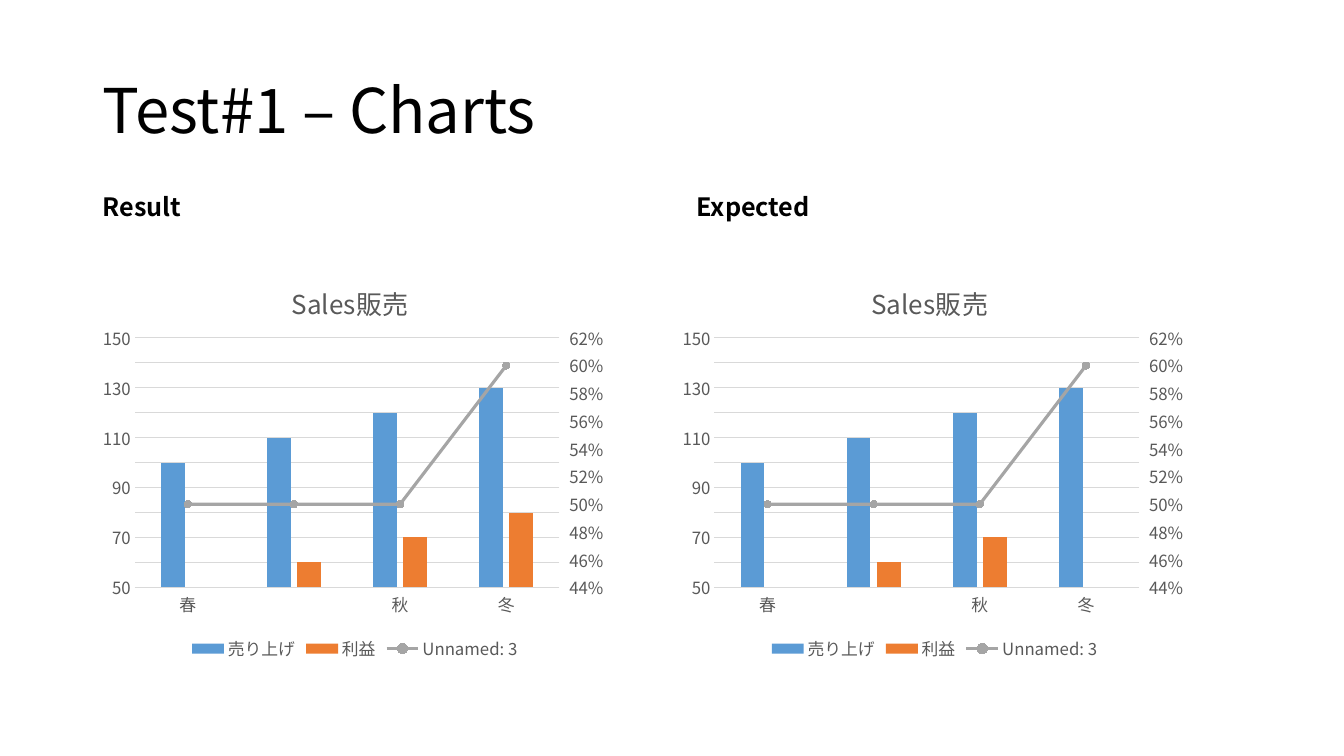
from copy import deepcopy

from lxml import etree
from pptx import Presentation
from pptx import util as u
from pptx.chart.data import CategoryChartData
from pptx.dml.color import RGBColor
from pptx.enum import chart as ch, text
from pptx.oxml import parse_xml
from pptx.oxml.ns import nsdecls, qn

FONT = "Noto Sans CJK JP"
BLACK, GREY, RULE = "000000", "595959", "D9D9D9"
TITLE = "Test#1 – Charts"
CHART_TITLE = "Sales販売"
SEASONS = ["春", "", "秋", "冬"]
SALES = ("売り上げ", [100, 110, 120, 130], "5B9BD5")
RATIO = ("Unnamed: 3", [0.5, 0.5, 0.5, 0.6], "A5A5A5")
PROFIT_NAME, PROFIT_COLOR = "利益", "ED7D31"
# heading, heading left, heading width, chart left, profit values
PANELS = [
    ("Result", 0.92, 0.99, 0.92, [50, 60, 70, 80]),
    ("Expected", 6.81, 1.34, 6.67, [50, 60, 70, None]),
]

LINE_PLOT = f"""<c:lineChart {nsdecls('c')}>
  <c:grouping val="standard"/><c:varyColors val="0"/>
  <c:marker val="1"/><c:axId val="5001"/><c:axId val="5002"/>
</c:lineChart>"""
RIGHT_AXIS = f"""<c:valAx {nsdecls('c')}>
  <c:axId val="5002"/><c:scaling><c:orientation val="minMax"/></c:scaling>
  <c:delete val="0"/><c:axPos val="r"/>
  <c:numFmt formatCode="0%" sourceLinked="0"/>
  <c:majorTickMark val="out"/><c:minorTickMark val="none"/>
  <c:tickLblPos val="nextTo"/>
  <c:crossAx val="5001"/><c:crosses val="max"/>
</c:valAx>"""
HIDDEN_AXIS = f"""<c:catAx {nsdecls('c')}>
  <c:axId val="5001"/><c:scaling><c:orientation val="minMax"/></c:scaling>
  <c:delete val="1"/><c:axPos val="b"/>
  <c:crossAx val="5002"/><c:crosses val="autoZero"/>
</c:catAx>"""


def rgb(color):
    return RGBColor.from_string(color)


def set_font(font, size, color, bold=False):
    font.name, font.size, font.bold = FONT, u.Pt(size), bold
    font.color.rgb = rgb(color)


def set_layout(parent, index, **values):
    """Place a chart part by fractions of the chart area."""
    layout = parent.find(qn("c:layout"))
    if layout is None:
        layout = etree.Element(qn("c:layout"))
        parent.insert(index, layout)
    manual = etree.SubElement(layout, qn("c:manualLayout"))
    for name, value in values.items():
        etree.SubElement(manual, qn("c:" + name)).set("val", str(value))


def move_to_right_axis(chart):
    """Turn the last column series into a line on a second value axis."""
    bars = chart.plots[0]
    ser = bars.series[-1]._element
    bar_plot = ser.getparent()
    invert = ser.find(qn("c:invertIfNegative"))
    if invert is not None:
        ser.remove(invert)
    line_plot = parse_xml(LINE_PLOT)
    line_plot.insert(2, ser)
    bar_plot.addnext(line_plot)

    left = chart.value_axis._element
    right = parse_xml(RIGHT_AXIS)
    cross = right.find(qn("c:crossAx"))
    for tag in ("c:spPr", "c:txPr"):
        cross.addprevious(deepcopy(left.find(qn(tag))))
    left.addnext(right)
    right.addnext(parse_xml(HIDDEN_AXIS))


def add_sales_chart(slide, left, profit):
    data = CategoryChartData()
    data.categories = SEASONS
    data.add_series(*SALES[:2])
    data.add_series(PROFIT_NAME, profit)
    data.add_series(*RATIO[:2], number_format="0%")
    chart = slide.shapes.add_chart(
        ch.XL_CHART_TYPE.COLUMN_CLUSTERED, u.Inches(left), u.Inches(2.54),
        u.Inches(5.2), u.Inches(4.06), data).chart
    set_font(chart.font, 10, BLACK)

    chart.has_title = True
    tf = chart.chart_title.text_frame
    tf.text = CHART_TITLE
    set_font(tf.paragraphs[0].runs[0].font, 18.6, GREY)
    chart.has_legend = True
    chart.legend.position = ch.XL_LEGEND_POSITION.BOTTOM
    chart.legend.include_in_layout = False
    set_font(chart.legend.font, 12, GREY)

    cat, val = chart.category_axis, chart.value_axis
    for axis in (cat, val):
        axis.major_tick_mark = axis.minor_tick_mark = ch.XL_TICK_MARK.NONE
        set_font(axis.tick_labels.font, 12, GREY)
    val.minimum_scale, val.maximum_scale, val.major_unit = 50, 150, 10
    val.has_major_gridlines = True
    val.format.line.fill.background()
    for line in (cat.format.line, val.major_gridlines.format.line):
        line.color.rgb, line.width = rgb(RULE), u.Pt(0.75)

    move_to_right_axis(chart)
    bars, lines = chart.plots
    bars.gap_width, bars.overlap, bars.vary_by_categories = 219, -27, False
    for series, color in zip(bars.series, (SALES[2], PROFIT_COLOR)):
        series.format.fill.solid()
        series.format.fill.fore_color.rgb = rgb(color)
    ratio = lines.series[0]
    ratio.smooth = False
    ratio.format.line.color.rgb = rgb(RATIO[2])
    ratio.format.line.width = u.Pt(2.25)
    ratio.marker.style, ratio.marker.size = ch.XL_MARKER_STYLE.CIRCLE, 5
    marker = ratio.marker.format
    marker.fill.solid()
    marker.fill.fore_color.rgb = marker.line.color.rgb = rgb(RATIO[2])

    set_layout(chart.chart_title._element, 1,
               xMode="edge", yMode="edge", x=0.37, y=0.05)
    set_layout(bars._element.getparent(), 0, layoutTarget="inner",
               xMode="edge", yMode="edge", x=0.08, y=0.2, w=0.81, h=0.61)
    for latin in list(chart._chartSpace.iter(qn("a:latin"))):
        east_asian = etree.Element(qn("a:ea"))
        east_asian.set("typeface", FONT)
        latin.addnext(east_asian)


def add_heading(slide, label, left, width):
    tf = slide.shapes.add_textbox(u.Inches(left), u.Inches(1.85),
                                  u.Inches(width), u.Inches(0.4)).text_frame
    tf.word_wrap = False
    tf.auto_size = text.MSO_AUTO_SIZE.SHAPE_TO_FIT_TEXT
    tf.text = label
    set_font(tf.paragraphs[0].runs[0].font, 18, BLACK, bold=True)


def main():
    prs = Presentation()
    prs.slide_width, prs.slide_height = u.Inches(13.33), u.Inches(7.5)
    slide = prs.slides.add_slide(prs.slide_layouts[5])

    title = slide.shapes.title
    title.left, title.top = u.Inches(0.92), u.Inches(0.4)
    title.width, title.height = u.Inches(11.5), u.Inches(1.45)
    tf = title.text_frame
    tf.text = TITLE
    tf.vertical_anchor = text.MSO_ANCHOR.MIDDLE
    p = tf.paragraphs[0]
    p.alignment, p.line_spacing = text.PP_ALIGN.LEFT, 0.9
    set_font(p.runs[0].font, 44, BLACK)

    for label, left, width, chart_left, profit in PANELS:
        add_heading(slide, label, left, width)
        add_sales_chart(slide, chart_left, profit)

    prs.save("out.pptx")


if __name__ == "__main__":
    main()
